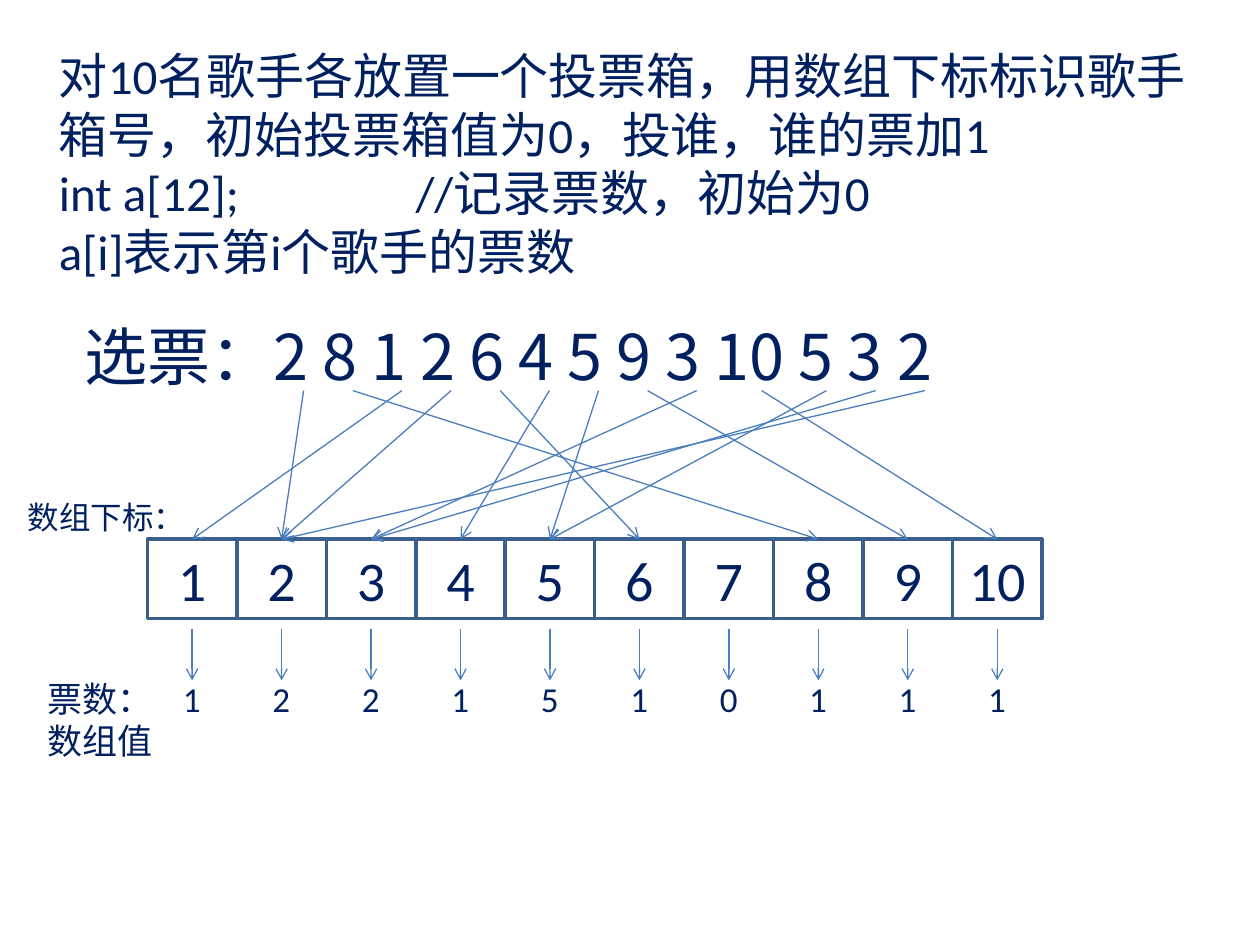
from lxml import etree
from pptx import Presentation
from pptx.dml.color import RGBColor
from pptx.enum.shapes import MSO_CONNECTOR, MSO_SHAPE
from pptx.enum.text import MSO_ANCHOR, PP_ALIGN
from pptx.oxml.ns import qn
from pptx.util import Inches, Pt

NAVY = RGBColor(0x00, 0x20, 0x60)
EDGE = RGBColor(0x3A, 0x5F, 0x8C)
BLUE = RGBColor(0x4B, 0x7E, 0xBC)
RECT = MSO_SHAPE.RECTANGLE
LINE = MSO_CONNECTOR.STRAIGHT
MIDDLE = MSO_ANCHOR.MIDDLE
CENTER = PP_ALIGN.CENTER

LATIN = "Calibri"
HAN = "Noto Sans CJK SC"
LEFT, TOP, PITCH, HIGH = 1.17, 4.28, 0.71, 0.63
INTRO = [
    "对10名歌手各放置一个投票箱，用数组下标标识歌手箱号，初始投票箱值为0，投谁，谁的票加1",
    "int a[12];\t//记录票数，初始为0",
    "a[i]表示第i个歌手的票数",
]
VOTES = [2, 8, 1, 2, 6, 4, 5, 9, 3, 10, 5, 3, 2]
DIGIT, WIDE = 0.25, 0.39
COUNTS = [1, 2, 2, 1, 5, 1, 0, 1, 1, 1]


class Deck:
    """Holds the text style and the current slide."""

    def __init__(self):
        self.prs = Presentation()
        self.prs.slide_width = Inches(10)
        self.prs.slide_height = Inches(7.5)
        self.slide = self.prs.slides.add_slide(self.prs.slide_layouts[6])

    def style(self, frame, size, font):
        for para in frame.paragraphs:
            for run in para.runs:
                run.font.size = Pt(size)
                run.font.name = font
                run.font.color.rgb = NAVY

    def tabs(self, para, stops, align):
        tabs = etree.SubElement(para._p.get_or_add_pPr(), qn("a:tabLst"))
        for stop in stops:
            etree.SubElement(tabs, qn("a:tab"), pos=str(Inches(stop)), algn=align)

    def text(self, box, lines, size, font=LATIN, wrap=True, stops=(), align="l"):
        shape = self.slide.shapes.add_textbox(*map(Inches, box))
        frame = shape.text_frame
        frame.word_wrap = wrap
        frame.text = "\n".join(lines)
        for para in frame.paragraphs:
            if "\t" in para.text:
                self.tabs(para, stops, align)
        self.style(frame, size, font)

    def cell(self, left, label):
        box = map(Inches, (left, TOP, PITCH, HIGH))
        shape = self.slide.shapes.add_shape(RECT, *box)
        shape.shadow.inherit = False
        shape.fill.background()
        shape.line.color.rgb = EDGE
        shape.line.width = Pt(2)
        frame = shape.text_frame
        frame.margin_left = frame.margin_right = 0
        frame.vertical_anchor = MIDDLE
        frame.text = label
        frame.paragraphs[0].alignment = CENTER
        self.style(frame, 32, LATIN)
        return shape

    def arrow(self, *ends):
        link = self.slide.shapes.add_connector(LINE, *map(Inches, ends))
        link.line.color.rgb = BLUE
        link.line.width = Pt(0.75)
        etree.SubElement(link.line._get_or_add_ln(), qn("a:tailEnd"), type="arrow")
        etree.SubElement(link._element.spPr, qn("a:effectLst"))
        return link


def main():
    deck = Deck()
    deck.text((0.37, 0.31, 9.26, 1.98), INTRO, 28, stops=[2.83])
    ballot = "选票：" + " ".join(map(str, VOTES))
    deck.text((0.57, 2.47, 8.2, 0.71), [ballot], 36, HAN, wrap=False)
    cells = [deck.cell(LEFT + PITCH * i, str(i + 1)) for i in range(10)]
    mids = [LEFT + PITCH * (i + 0.5) for i in range(10)]
    left = 2.27
    for vote in VOTES:
        wide = DIGIT * len(str(vote)) + 0.03
        link = deck.arrow(left + wide / 2, 3.1, mids[vote - 1], TOP)
        link.end_connect(cells[vote - 1], 0)
        left += WIDE + DIGIT * (len(str(vote)) - 1)
    row = "\t".join(["票数："] + [str(n) for n in COUNTS])
    stops = [mid - 0.38 for mid in mids]
    deck.text((0.28, 5.33, 9.64, 0.77), [row, "数组值"], 20,
              stops=stops, align="ctr")
    deck.text((0.12, 3.9, 1.48, 0.4), ["数组下标："], 18)
    for mid in mids:
        deck.arrow(mid, 4.99, mid, 5.4)
    deck.prs.save("out.pptx")


if __name__ == "__main__":
    main()
